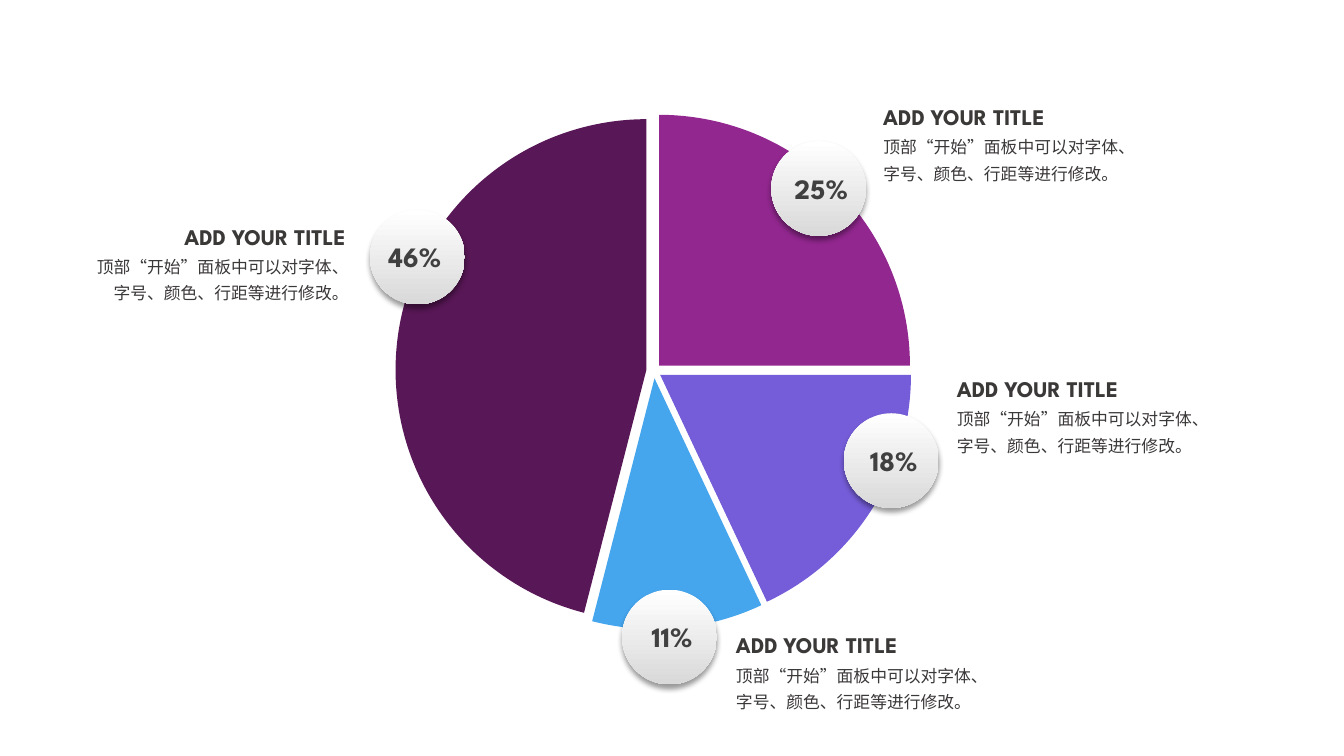
"""Build a slide with an exploded pie chart and four annotated percentage badges."""
from dataclasses import dataclass

from lxml import etree
from pptx import Presentation
from pptx.chart.data import CategoryChartData
from pptx.dml.color import RGBColor
from pptx.enum.chart import XL_CHART_TYPE
from pptx.enum.shapes import MSO_SHAPE
from pptx.enum.text import MSO_AUTO_SIZE, PP_ALIGN
from pptx.oxml import parse_xml
from pptx.oxml.ns import nsdecls, qn
from pptx.slide import Slide
from pptx.util import Inches, Pt

PIE = XL_CHART_TYPE.PIE
OVAL = MSO_SHAPE.OVAL
GROW = MSO_AUTO_SIZE.SHAPE_TO_FIT_TEXT
LEFT, CENTER, RIGHT = PP_ALIGN.LEFT, PP_ALIGN.CENTER, PP_ALIGN.RIGHT

BLACK = RGBColor(0x00, 0x00, 0x00)
WHITE = RGBColor(0xFF, 0xFF, 0xFF)
SILVER = RGBColor(0xD9, 0xD9, 0xD9)
BADGE_INK = RGBColor(0x40, 0x40, 0x40)
TEXT_INK = RGBColor(0x3B, 0x38, 0x38)
MAGENTA = RGBColor(0x92, 0x27, 0x8F)
VIOLET = RGBColor(0x75, 0x5D, 0xD9)
SKY = RGBColor(0x45, 0xA5, 0xED)
PLUM = RGBColor(0x58, 0x17, 0x56)

LATIN_FONT = "League Spartan"
CHINESE_FONT = "Noto Sans CJK SC"
HEADING = "ADD YOUR TITLE"
NOTE = "顶部“开始”面板中可以对字体、字号、颜色、行距等进行修改。"
BADGE_SIZE = 0.94
HEADING_WIDTH = 1.83
NOTE_DROP = 0.28
EXPLOSION = 3
SHADOW = (
    f'<a:effectLst {nsdecls("a")}>'
    f'<a:outerShdw blurRad="{Pt(4)}" dist="{Pt(3)}" dir="5400000" algn="t" rotWithShape="0">'
    '<a:srgbClr val="000000"><a:alpha val="40000"/></a:srgbClr>'
    "</a:outerShdw></a:effectLst>"
)


@dataclass(frozen=True)
class Slice:
    share: int
    color: RGBColor
    badge_left: float
    badge_top: float
    label_left: float
    heading_left: float
    heading_top: float
    note_left: float
    note_width: float
    align: PP_ALIGN = LEFT


@dataclass(frozen=True)
class TextStyle:
    font: str
    size: int
    color: RGBColor
    bold: bool = False
    line_spacing: float = 1.0
    inset_x: float = 0.07
    inset_y: float = 0.04
    wrap: bool = True


SLICES = [
    Slice(25, MAGENTA, 7.65, 1.40, 7.57, 8.69, 0.98, 8.69, 2.75),
    Slice(18, VIOLET, 8.37, 4.10, 8.29, 9.42, 3.68, 9.42, 2.75),
    Slice(11, SKY, 6.17, 5.85, 6.09, 7.23, 6.22, 7.23, 2.5),
    Slice(46, PLUM, 3.67, 2.08, 3.54, 1.67, 2.17, 0.8, 2.73, RIGHT),
]
BADGE_STYLE = TextStyle(LATIN_FONT, 20, BADGE_INK, bold=True, inset_x=0.1, inset_y=0.05)
HEADING_STYLE = TextStyle(LATIN_FONT, 16, TEXT_INK, bold=True, wrap=False)
NOTE_STYLE = TextStyle(CHINESE_FONT, 12, TEXT_INK, line_spacing=1.3)


def add_text(shapes, text: str, left: float, top: float, width: float, height: float,
             style: TextStyle, align: PP_ALIGN) -> None:
    box = shapes.add_textbox(Inches(left), Inches(top), Inches(width), Inches(height))
    frame = box.text_frame
    frame.margin_left = frame.margin_right = Inches(style.inset_x)
    frame.margin_top = frame.margin_bottom = Inches(style.inset_y)
    frame.word_wrap = style.wrap
    frame.auto_size = GROW
    paragraph = frame.paragraphs[0]
    paragraph.text = text
    paragraph.alignment = align
    paragraph.line_spacing = style.line_spacing
    font = paragraph.font
    font.name = style.font
    font.size = Pt(style.size)
    font.bold = style.bold
    font.color.rgb = style.color
    properties = paragraph._p.pPr.find(qn("a:defRPr"))
    etree.SubElement(properties, qn("a:ea")).set("typeface", style.font)


def add_pie(slide: Slide) -> None:
    data = CategoryChartData()
    data.categories = [str(number) for number in range(1, len(SLICES) + 1)]
    data.add_series("Series 1", [piece.share for piece in SLICES])
    chart = slide.shapes.add_chart(
        PIE, Inches(3.59), Inches(0.98), Inches(5.79), Inches(5.4), data
    ).chart
    chart.has_title = False
    chart.has_legend = False
    chart.font.name = LATIN_FONT
    chart.font.size = Pt(10)
    chart.font.color.rgb = BLACK
    plot = chart.plots[0]
    plot.vary_by_categories = True
    series = plot.series[0]
    for index, piece in enumerate(SLICES):
        point = series.points[index].format
        point.fill.solid()
        point.fill.fore_color.rgb = piece.color
        point.line.fill.background()
    explosion = parse_xml(f'<c:explosion {nsdecls("c")} val="{EXPLOSION}"/>')
    series._element.find(qn("c:tx")).addnext(explosion)


def add_badge(slide: Slide, piece: Slice) -> None:
    group = slide.shapes.add_group_shape()
    disc = group.shapes.add_shape(
        OVAL, Inches(piece.badge_left), Inches(piece.badge_top),
        Inches(BADGE_SIZE), Inches(BADGE_SIZE)
    )
    disc.fill.gradient()
    disc.fill.gradient_angle = 270
    for stop, color, position in zip(disc.fill.gradient_stops, (WHITE, SILVER), (0, 1)):
        stop.color.rgb = color
        stop.position = position
    disc.line.fill.background()
    disc._element.spPr.append(parse_xml(SHADOW))
    add_text(group.shapes, f"{piece.share}%", piece.label_left, piece.badge_top + 0.25,
             1.15, 0.44, BADGE_STYLE, CENTER)


def add_caption(slide: Slide, piece: Slice) -> None:
    add_text(slide.shapes, NOTE, piece.note_left, piece.heading_top + NOTE_DROP,
             piece.note_width, 0.6, NOTE_STYLE, piece.align)
    add_text(slide.shapes, HEADING, piece.heading_left, piece.heading_top,
             HEADING_WIDTH, 0.35, HEADING_STYLE, piece.align)


def main() -> None:
    deck = Presentation()
    deck.slide_width = Inches(13.33)
    deck.slide_height = Inches(7.5)
    slide = deck.slides.add_slide(deck.slide_layouts[6])
    add_pie(slide)
    for piece in SLICES:
        add_badge(slide, piece)
        add_caption(slide, piece)
    deck.save("out.pptx")


if __name__ == "__main__":
    main()
